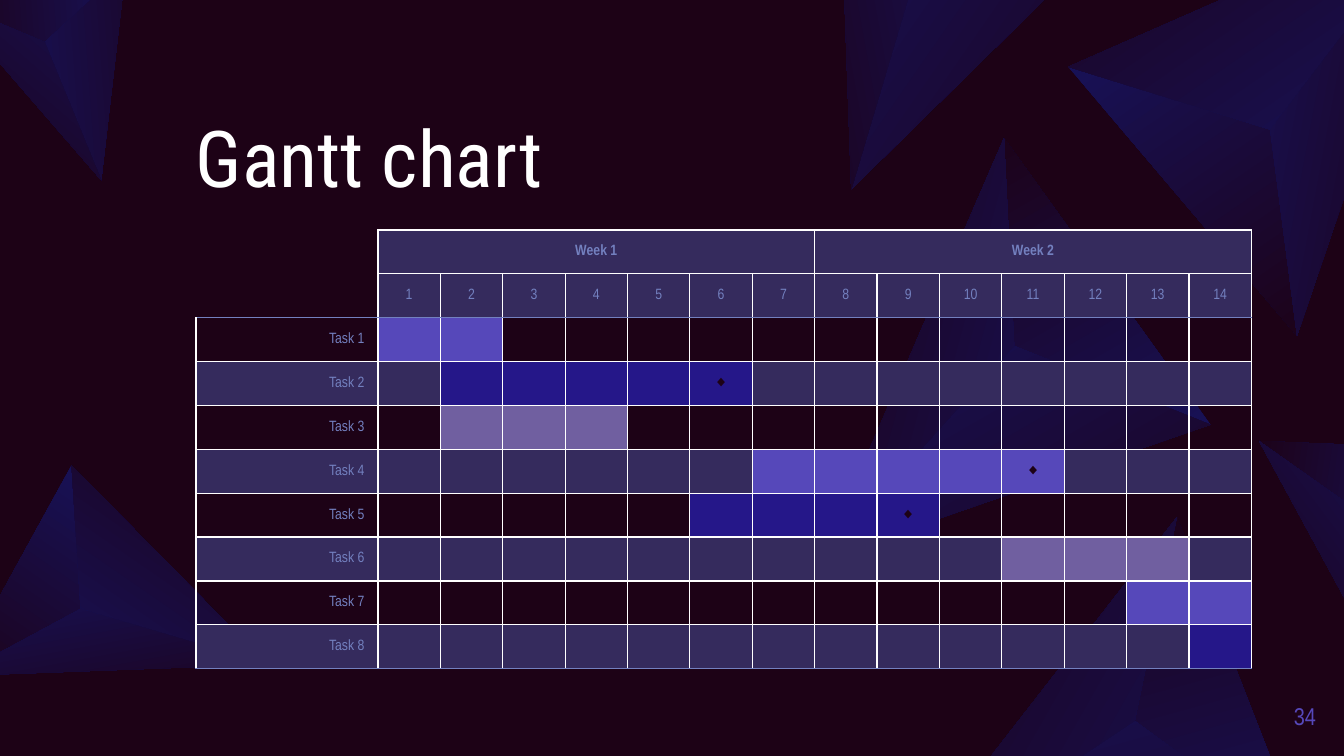
from dataclasses import dataclass
from math import cos, radians, sin

from lxml import etree
from pptx import Presentation
from pptx.dml.color import RGBColor
from pptx.enum.text import MSO_ANCHOR, MSO_AUTO_SIZE, PP_ALIGN
from pptx.oxml.ns import qn
from pptx.util import Pt

LEFT, MID, RIGHT = PP_ALIGN.LEFT, PP_ALIGN.CENTER, PP_ALIGN.RIGHT
CENTER, BOTTOM = MSO_ANCHOR.MIDDLE, MSO_ANCHOR.BOTTOM
FIXED = MSO_AUTO_SIZE.NONE
SCALE = 914400 / 134.4  # EMU in one px


@dataclass(frozen=True)
class Theme:
    back: str = "1D0216"
    glow: str = "17125A"
    white: str = "FFFFFF"
    soft: str = "7380BF"
    band: str = "352B5D"
    violet: str = "5648BA"
    navy: str = "251789"
    mauve: str = "705FA0"
    head: str = "Roboto Condensed"
    body: str = "Arial Narrow"
    title: int = 42
    page: int = 13
    cell: int = 8
    line: float = 0.75


T = Theme()

# Crystal corners in px from its tip; each facet has its corners and gradient angle
TIP, SIDE, CORE, TAIL = (0, 0), (-223, 274), (-198, 64), (-454, -66)
FACETS = [
    ((TIP, SIDE, CORE), 45),
    ((SIDE, TAIL, CORE), 225),
    ((TIP, CORE, TAIL), 90),
]
# Tip x, tip y, size, turn, facets
CRYSTALS = [
    (1297, 336, 1, 100.5, FACETS),
    (-44, 676, 0.68, 169.6, FACETS),
    (1004, 138, 1, 285.1, FACETS),
    (1177, 517, 1, 299.6, FACETS),
    (1259, 441, 0.52, 233.2, FACETS),
    (835, -269, 1, 259.7, FACETS[1:]),
    (-55, 0, 0.52, 220.8, FACETS),
]

# First day, last day, colour, milestone on the last day
TASKS = [
    (1, 2, T.violet, False),
    (2, 6, T.navy, True),
    (2, 4, T.mauve, False),
    (7, 11, T.violet, True),
    (6, 9, T.navy, True),
    (11, 13, T.mauve, False),
    (13, 14, T.violet, False),
    (14, 14, T.navy, False),
]
WEEKS, DAYS = 2, 7


def emu(px):
    return round(px * SCALE)


def rgb(code):
    return RGBColor.from_string(code)


def write(frame, words, size=T.cell, font=T.body, color=T.soft,
          bold=False, align=LEFT, space=None):
    para = frame.paragraphs[0]
    para.alignment = align
    if space:
        para.line_spacing = space
    if not words:  # keeps an empty cell as low as a full one
        para._p.get_or_add_endParaRPr().set("sz", str(size * 100))
        return
    run = para.add_run()
    run.text = words
    run.font.size, run.font.name, run.font.bold = Pt(size), font, bold
    run.font.color.rgb = rgb(color)


def trim(frame, anchor):
    frame.margin_left = frame.margin_right = 0
    frame.margin_top = frame.margin_bottom = 0
    frame.word_wrap = True
    frame.auto_size = FIXED
    frame.vertical_anchor = anchor


def place(shape, box):
    shape.left, shape.top, shape.width, shape.height = map(emu, box)


def draw_gem(slide, x, y, size, turn, facets):
    c, s = cos(radians(turn)), sin(radians(turn))
    for points, angle in facets:
        xs, ys = zip(*points)
        mx, my = (min(xs) + max(xs)) / 2, (min(ys) + max(ys)) / 2
        # Shift the facet so that turning about its centre keeps the tip in place
        dx = x + size * (mx * c - my * s - mx)
        dy = y + size * (mx * s + my * c - my)
        spots = [(emu(dx + size * px), emu(dy + size * py)) for px, py in points]
        pen = slide.shapes.build_freeform(*spots[0])
        pen.add_line_segments(spots[1:], close=True)
        facet = pen.convert_to_shape()
        facet.rotation = turn
        facet.shadow.inherit = False
        facet.line.fill.background()
        facet.fill.gradient()
        facet.fill.gradient_angle = angle
        for stop, code in zip(facet.fill.gradient_stops, (T.glow, T.back)):
            stop.color.rgb = rgb(code)


def draw_title(slide, box, words):
    title = slide.shapes.title
    slide.shapes._spTree.append(title._element)  # in front of the crystals
    place(title, box)
    trim(title.text_frame, BOTTOM)
    write(title.text_frame, words, size=T.title, font=T.head,
          color=T.white, space=0.9)


def draw_page(slide, box, words):
    note = slide.shapes.add_textbox(*map(emu, box))
    trim(note.text_frame, CENTER)
    write(note.text_frame, words, size=T.page, color=T.violet, align=RIGHT)


def edge(cell, **sides):
    props = cell._tc.get_or_add_tcPr()
    for side in "LRTB":
        line = etree.SubElement(props, qn("a:ln" + side), w=str(Pt(T.line)))
        code = sides.get(side)
        if code:
            fill = etree.SubElement(line, qn("a:solidFill"))
            etree.SubElement(fill, qn("a:srgbClr"), val=code)
        else:
            etree.SubElement(line, qn("a:noFill"))


def look(row, col):
    """Words, fill and format of one cell."""
    if row < 2:
        if col == 0:
            return "", None, {}
        if row == 1:
            return str(col), T.band, {"align": MID}
        week, day = divmod(col - 1, DAYS)
        words = "" if day else f"Week {week + 1}"
        return words, T.band, {"align": MID, "bold": True}
    fill = T.band if row % 2 else None
    if col == 0:
        return f"Task {row - 1}", fill, {"align": RIGHT}
    first, last, color, mark = TASKS[row - 2]
    if first <= col <= last:
        fill = color
    words = "◆" if mark and col == last else ""
    return words, fill, {"align": MID, "color": T.back}


def draw_gantt(slide, box, label):
    rows, cols = len(TASKS) + 2, WEEKS * DAYS + 1
    table = slide.shapes.add_table(rows, cols, *map(emu, box)).table
    table.first_row = table.horz_banding = False
    # Even grid beside the label column
    for i, column in enumerate(table.columns):
        column.width = emu((box[2] - label) / (cols - 1) if i else label)
    for line in table.rows:
        line.height = emu(box[3] / rows)
    for week in range(WEEKS):
        start = 1 + week * DAYS
        table.cell(0, start).merge(table.cell(0, start + DAYS - 1))
    # Cells
    for row in range(rows):
        for col in range(cols):
            cell = table.cell(row, col)
            words, fill, form = look(row, col)
            cell.vertical_anchor = CENTER
            write(cell.text_frame, words, **form)
            top = T.soft if row == 2 else T.white
            base = T.soft if row in (1, rows - 1) else T.white
            if row < 2 and col == 0:
                edge(cell, R=T.white, B=T.soft if row else None)
            else:
                edge(cell, L=T.white, R=T.white, T=top, B=base)
            if fill:
                cell.fill.solid()
                cell.fill.fore_color.rgb = rgb(fill)
            else:
                cell.fill.background()


def main():
    deck = Presentation()
    deck.slide_width, deck.slide_height = emu(1344), emu(756)
    slide = deck.slides.add_slide(deck.slide_layouts[5])
    slide.background.fill.solid()
    slide.background.fill.fore_color.rgb = rgb(T.back)
    for gem in CRYSTALS:
        draw_gem(slide, *gem)
    draw_title(slide, (196, 118, 952, 87), "Gantt chart")
    draw_page(slide, (1257, 687, 59, 58), "34")
    draw_gantt(slide, (196, 230, 1056, 439), 182)
    deck.save("out.pptx")


if __name__ == "__main__":
    main()
